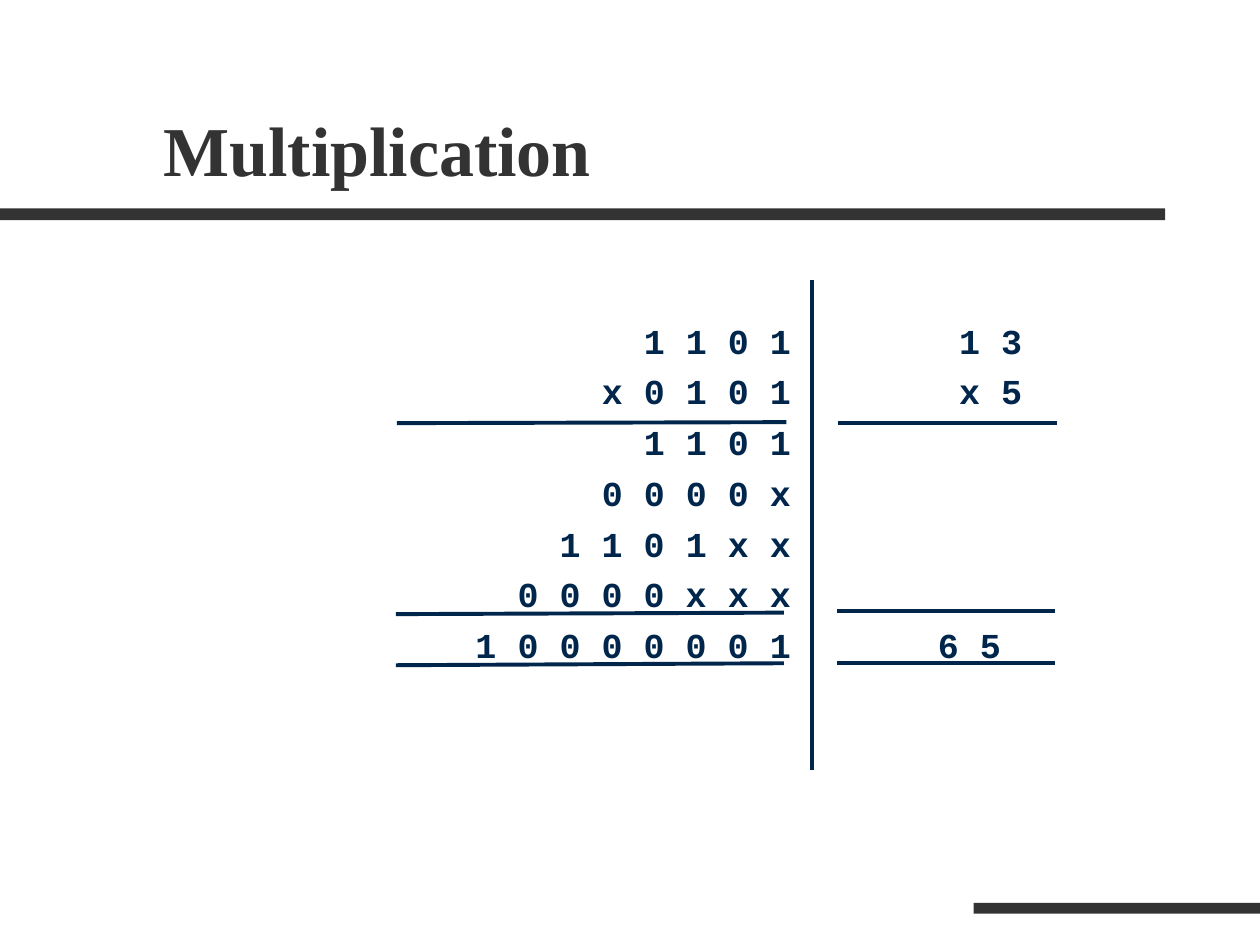
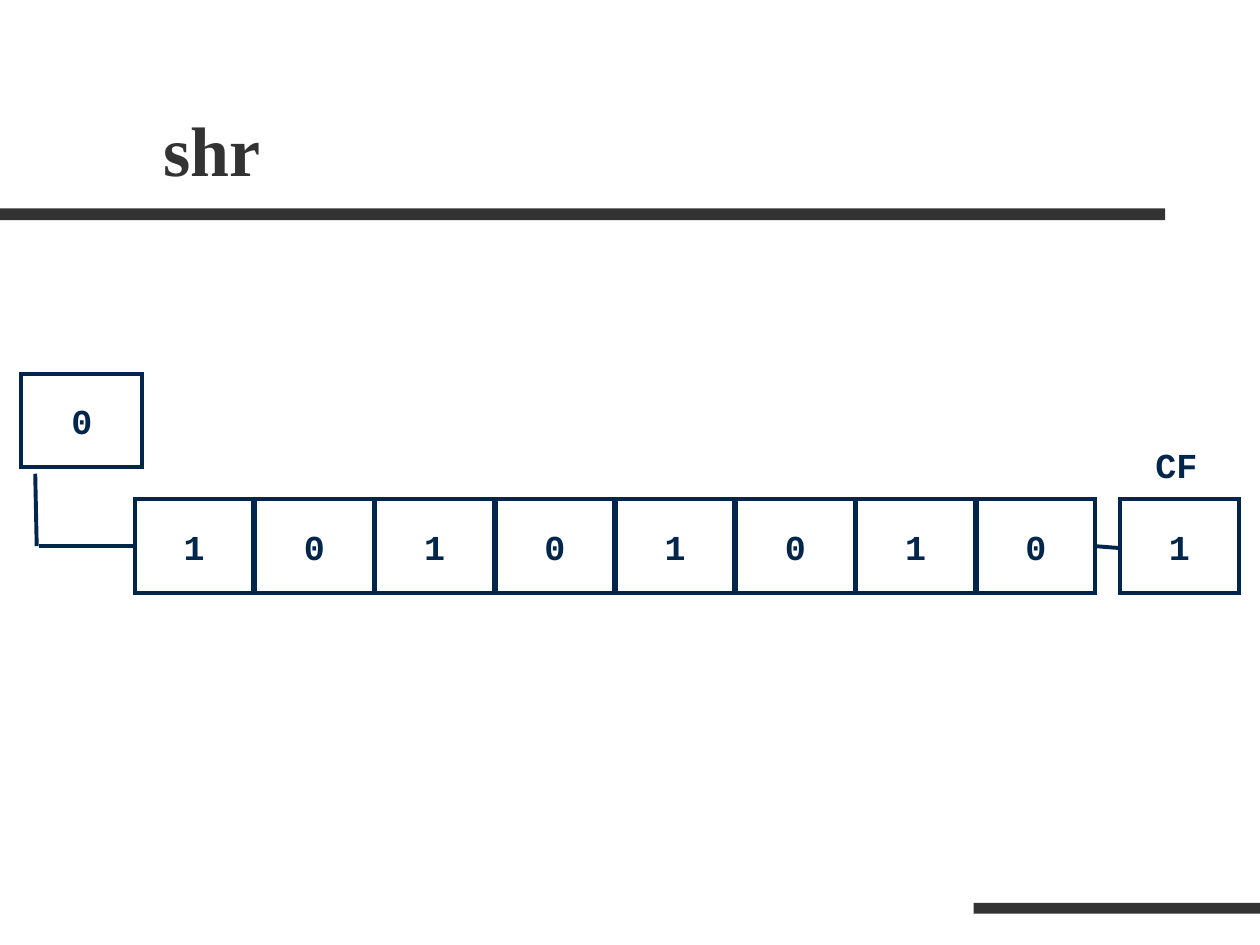
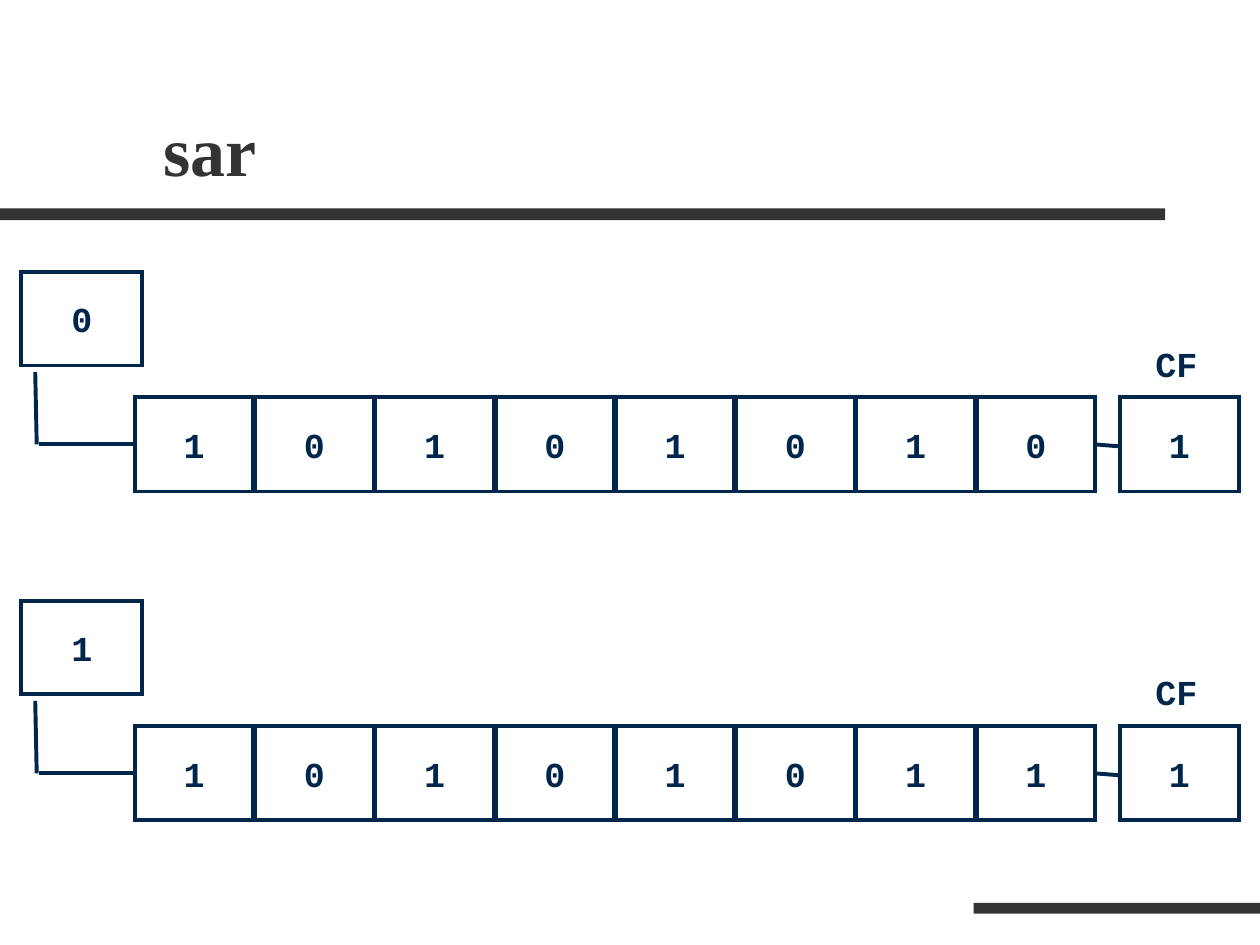
from dataclasses import dataclass

from lxml.etree import SubElement
from pptx import Presentation
from pptx.dml.color import RGBColor
from pptx.enum.shapes import MSO_CONNECTOR, MSO_SHAPE
from pptx.enum.text import MSO_ANCHOR, PP_ALIGN
from pptx.oxml.ns import qn
from pptx.slide import Slide
from pptx.text.text import TextFrame, _Paragraph
from pptx.util import Cm, Pt

COLORS = {"band": "333333", "title": "333333", "ink": "00264C"}


# Repeated elements; all lengths are in centimetres
@dataclass(frozen=True)
class Area:
    left: float
    top: float
    width: float
    height: float

    def lengths(self) -> tuple[Cm, Cm, Cm, Cm]:
        return Cm(self.left), Cm(self.top), Cm(self.width), Cm(self.height)


@dataclass(frozen=True)
class TextStyle:
    font: str
    size: float
    color: str


@dataclass(frozen=True)
class Rule:
    x1: float
    y1: float
    x2: float
    y2: float


@dataclass(frozen=True)
class SumRow:
    binary: str
    decimal: str = ""
    decimal_edge: float = 18.73


@dataclass(frozen=True)
class ShiftRegister:
    top: float
    fill_bit: str
    bits: str
    carry: str


TITLE = TextStyle("Times New Roman", 40, "title")
CODE = TextStyle("Courier New", 20, "ink")
TITLE_AREA = Area(3.05, 0.79, 21.59, 3.17)
BANDS = (Area(0, 4.2, 23.49, 0.24), Area(19.63, 18.2, 5.77, 0.22))

# Long multiplication
SUM_AREA = Area(1.63, 6.31, 21.59, 10.58)
BINARY_EDGE = 14.07
SUM_ROWS = (
    SumRow("1 1 0 1", "1 3"),
    SumRow("x 0 1 0 1", "x 5"),
    SumRow("1 1 0 1"),
    SumRow("0 0 0 0 x"),
    SumRow("1 1 0 1 x x"),
    SumRow("0 0 0 0 x x x"),
    SumRow("1 0 0 0 0 0 0 1", "6 5", 18.3),
)
SUM_RULES = (
    Rule(16.36, 5.64, 16.36, 15.52),
    Rule(8, 8.53, 15.85, 8.51),
    Rule(16.89, 8.53, 21.31, 8.53),
    Rule(7.98, 12.38, 15.8, 12.35),
    Rule(7.98, 13.41, 15.8, 13.37),
    Rule(16.87, 12.32, 21.27, 12.32),
    Rule(16.87, 13.36, 21.27, 13.36),
)

# Shift registers
FIRST_BIT, LAST_BIT = 2.72, 19.69
BIT_WIDTH, BIT_HEIGHT = 2.39, 1.9
CARRY_LEFT = 22.58
SHR = (ShiftRegister(10.06, "0", "10101010", "1"),)
SAR = (
    ShiftRegister(8.01, "0", "10101010", "1"),
    ShiftRegister(14.64, "1", "10101011", "1"),
)


def add_run(paragraph: _Paragraph, text: str, style: TextStyle) -> None:
    run = paragraph.add_run()
    run.text = text
    run.font.name = style.font
    run.font.size = Pt(style.size)
    run.font.bold = True
    run.font.color.rgb = RGBColor.from_string(COLORS[style.color])


def add_text_frame(slide: Slide, area: Area) -> TextFrame:
    frame = slide.shapes.add_textbox(*area.lengths()).text_frame
    frame.word_wrap = True
    return frame


def draw_rule(slide: Slide, rule: Rule) -> None:
    line = slide.shapes.add_connector(
        MSO_CONNECTOR.STRAIGHT, Cm(rule.x1), Cm(rule.y1), Cm(rule.x2), Cm(rule.y2)
    )
    line.line.color.rgb = RGBColor.from_string(COLORS["ink"])
    line.line.width = Pt(2.25)
    SubElement(line._element.spPr, qn("a:effectLst"))


def draw_band(slide: Slide, area: Area) -> None:
    band = slide.shapes.add_shape(MSO_SHAPE.RECTANGLE, *area.lengths())
    band.shadow.inherit = False
    band.fill.solid()
    band.fill.fore_color.rgb = RGBColor.from_string(COLORS["band"])
    band.line.fill.background()


def draw_bit(slide: Slide, area: Area, digit: str) -> None:
    cell = slide.shapes.add_shape(MSO_SHAPE.RECTANGLE, *area.lengths())
    cell.shadow.inherit = False
    cell.fill.background()
    cell.line.color.rgb = RGBColor.from_string(COLORS["ink"])
    cell.line.width = Pt(2.25)
    # Square corners
    SubElement(cell._element.spPr.find(qn("a:ln")), qn("a:miter"), lim="800000")
    frame = cell.text_frame
    frame.word_wrap = False
    frame.vertical_anchor = MSO_ANCHOR.MIDDLE
    frame.paragraphs[0].alignment = PP_ALIGN.CENTER
    add_run(frame.paragraphs[0], digit, CODE)


def add_titled_slide(prs, title: str) -> Slide:
    slide = prs.slides.add_slide(prs.slide_layouts[6])
    for band in BANDS:
        draw_band(slide, band)
    frame = add_text_frame(slide, TITLE_AREA)
    frame.vertical_anchor = MSO_ANCHOR.BOTTOM
    add_run(frame.paragraphs[0], title, TITLE)
    return slide


def set_right_tabs(paragraph: _Paragraph, *edges: float) -> None:
    tabs = SubElement(paragraph._p.get_or_add_pPr(), qn("a:tabLst"))
    for edge in edges:
        SubElement(tabs, qn("a:tab"), pos=str(int(Cm(edge))), algn="r")


def draw_sum(slide: Slide) -> None:
    frame = add_text_frame(slide, SUM_AREA)
    for index, row in enumerate(SUM_ROWS):
        paragraph = frame.add_paragraph() if index else frame.paragraphs[0]
        set_right_tabs(paragraph, BINARY_EDGE, row.decimal_edge)
        if index:
            paragraph.space_before = Pt(5)
        add_run(paragraph, f"\t{row.binary}", CODE)
        if row.decimal:
            add_run(paragraph, f"\t{row.decimal}", CODE)
    for rule in SUM_RULES:
        draw_rule(slide, rule)


def draw_register(slide: Slide, register: ShiftRegister) -> None:
    top = register.top
    middle = top + 0.95

    # Links from the incoming bit and to the carry flag
    draw_rule(slide, Rule(CARRY_LEFT, middle + 0.04, LAST_BIT + BIT_WIDTH, middle))
    draw_rule(slide, Rule(FIRST_BIT, middle, 0.79, middle))
    draw_rule(slide, Rule(0.74, middle, 0.71, top - 0.51))

    # Bits
    pitch = (LAST_BIT - FIRST_BIT) / (len(register.bits) - 1)
    for index, digit in enumerate(register.bits):
        left = FIRST_BIT + index * pitch
        draw_bit(slide, Area(left, top, BIT_WIDTH, BIT_HEIGHT), digit)
    draw_bit(slide, Area(0.43, top - 2.52, 2.44, 1.88), register.fill_bit)

    # Carry flag
    draw_bit(slide, Area(CARRY_LEFT, top, BIT_WIDTH, BIT_HEIGHT), register.carry)
    carry_label = add_text_frame(slide, Area(23.04, top - 1.24, 1.45, 1.12))
    add_run(carry_label.paragraphs[0], "CF", CODE)


def main() -> None:
    prs = Presentation()
    prs.slide_width, prs.slide_height = Cm(25.4), Cm(19.05)
    draw_sum(add_titled_slide(prs, "Multiplication"))
    for title, registers in (("shr", SHR), ("sar", SAR)):
        slide = add_titled_slide(prs, title)
        for register in registers:
            draw_register(slide, register)
    prs.save("out.pptx")


if __name__ == "__main__":
    main()
